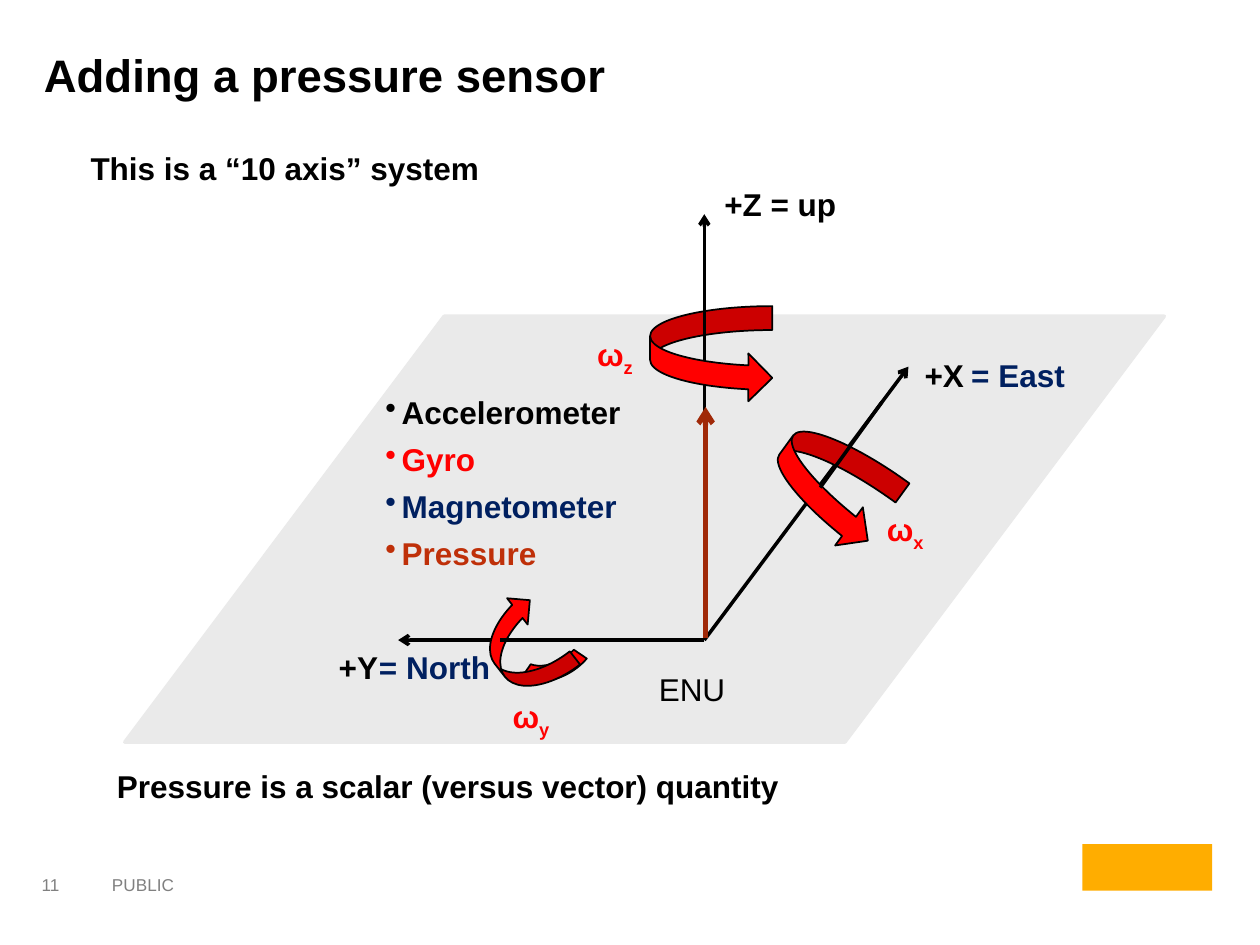
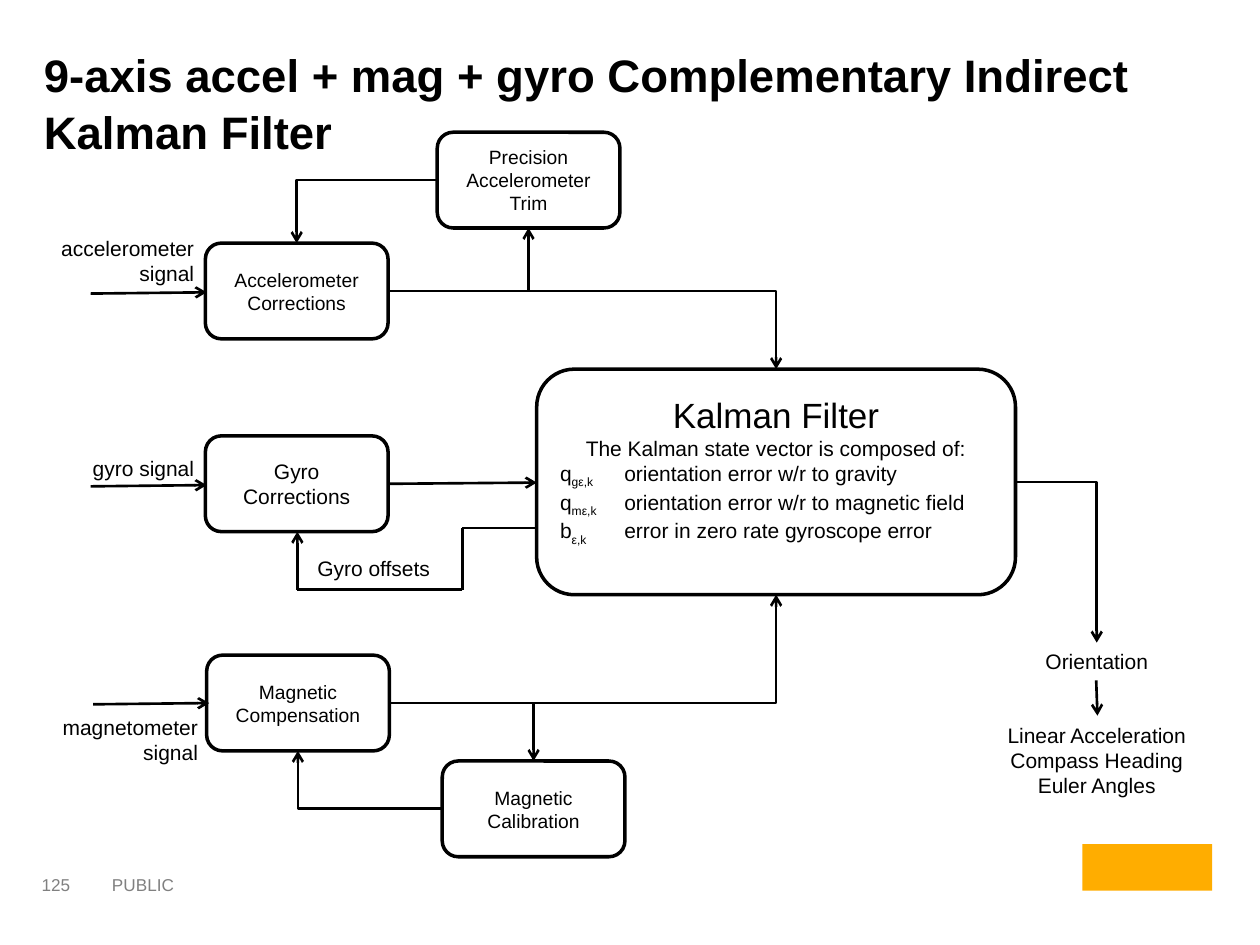
from dataclasses import dataclass
from itertools import pairwise

from lxml import etree
from pptx import Presentation
from pptx.dml.color import RGBColor
from pptx.enum.shapes import MSO_CONNECTOR, MSO_SHAPE
from pptx.enum.text import MSO_ANCHOR, PP_ALIGN
from pptx.oxml.ns import qn
from pptx.util import Inches, Pt

LEFT, CENTER, RIGHT = PP_ALIGN.LEFT, PP_ALIGN.CENTER, PP_ALIGN.RIGHT
TOP, MIDDLE = MSO_ANCHOR.TOP, MSO_ANCHOR.MIDDLE
STRAIGHT, ELBOW = MSO_CONNECTOR.STRAIGHT, MSO_CONNECTOR.ELBOW
ROUNDED, RECT = MSO_SHAPE.ROUNDED_RECTANGLE, MSO_SHAPE.RECTANGLE
PARALLELOGRAM, BLOCK_ARC = MSO_SHAPE.PARALLELOGRAM, MSO_SHAPE.BLOCK_ARC
CURVED_ARROW = MSO_SHAPE.CURVED_RIGHT_ARROW
SITE_TOP, SITE_LEFT, SITE_BOTTOM, SITE_RIGHT = range(4)


@dataclass(frozen=True)
class Theme:
    font: str = "Arial"
    ink: str = "000000"
    muted: str = "808080"
    plane: str = "EAEAEA"
    gyro: str = "FF0000"
    magnet: str = "002060"
    pressure: str = "BF3009"
    pressure_line: str = "A02908"
    mark: str = "FFAD00"
    title: float = 26
    label: float = 18
    heading: float = 20
    body: float = 12
    block: float = 11
    footer: float = 9.8


T = Theme()
prs = Presentation()
prs.slide_width, prs.slide_height = Inches(10), Inches(7.5)
U = prs.slide_width // 100  # grid unit: the slide is 100 columns by 75 rows


def put(s, box, text="", size=T.label, color=T.ink, bold=False, align=LEFT,
        anchor=TOP, shape=None, fill=None, line=None, weight=2):
    """Add a text box or preset shape; '|' switches subscript on and off."""
    frame = [round(v * U) for v in box]
    if shape is None:
        sp = s.shapes.add_textbox(*frame)
    else:
        sp = s.shapes.add_shape(shape, *frame)
        sp.shadow.inherit = False
        if fill:
            sp.fill.solid()
            sp.fill.fore_color.rgb = RGBColor.from_string(fill)
        else:
            sp.fill.background()
        if line:
            sp.line.color.rgb = RGBColor.from_string(line)
            sp.line.width = Pt(weight)
        else:
            sp.line.fill.background()
    tf = sp.text_frame
    tf.word_wrap = True
    tf.vertical_anchor = anchor
    for i, row in enumerate(text.split("\n") if text else []):
        p = tf.paragraphs[0] if i == 0 else tf.add_paragraph()
        p.alignment = align
        for n, part in enumerate(row.split("|")):
            r = p.add_run()
            r.text = part
            r.font.name, r.font.size, r.font.bold = T.font, Pt(size), bold
            r.font.color.rgb = RGBColor.from_string(color)
            if n % 2:
                r.font._element.set("baseline", "-25000")
    return sp


def link(s, start, end, color=T.ink, weight=1.5, arrow=True):
    """Join two points with a line, or two (shape, site) pairs with an elbow."""
    glued = not isinstance(start[0], (int, float))
    if glued:
        c = s.shapes.add_connector(ELBOW, 0, 0, 0, 0)
        c.begin_connect(*start)
        c.end_connect(*end)
        c._element.spPr.find(qn("a:prstGeom")).set("prst", "bentConnector2")
    else:
        c = s.shapes.add_connector(STRAIGHT, *[round(v * U) for v in (*start, *end)])
    c.line.color.rgb = RGBColor.from_string(color)
    c.line.width = Pt(weight)
    spPr = c._element.spPr
    if arrow:
        etree.SubElement(spPr.find(qn("a:ln")), qn("a:tailEnd"), type="arrow")
    etree.SubElement(spPr, qn("a:effectLst"))


# Shared frame: title, page number, classification and corner mark
slides = []
for number, title in [
    ("11", "Adding a pressure sensor"),
    ("125", "9-axis accel + mag + gyro Complementary Indirect Kalman Filter"),
]:
    s = prs.slides.add_slide(prs.slide_layouts[6])
    page = put(s, (2.7, 68.7, 4.9, 3), number, T.footer, T.muted, anchor=MIDDLE)
    tf = page.text_frame
    tf.margin_left = tf.margin_right = Inches(0.06)
    tf.margin_top = tf.margin_bottom = Inches(0.03)
    put(s, (7.9, 68.9, 38.4, 3.4), "PUBLIC", T.footer, T.muted)
    put(s, (85.9, 67, 10.3, 3.7), shape=RECT, fill=T.mark)
    heading = put(s, (2.5, 3, 95.7, 7.2), title, T.title, bold=True)
    heading.text_frame.paragraphs[0].line_spacing = 1.05
    slides.append(s)

# Slide 1: axes on the ground plane
s = slides[0]
plane = put(s, (9.9, 25.1, 82.5, 33.8), shape=PARALLELOGRAM, fill=T.plane, line=T.plane)
plane.adjustments[0] = 0.75
origin = (55.9, 50.8)
for tip in [(31.6, 50.8), (55.9, 17), (72.1, 29.1)]:
    link(s, origin, tip, weight=2)
link(s, (56, 50.6), (56, 32.3), T.pressure_line, 3)

# Rotation arrows, then the parts of the axes that pass in front of them
for kind, box, turn, flip in [
    (CURVED_ARROW, (51.6, 24.3, 9.7, 7.6), 0, False),
    (CURVED_ARROW, (61.2, 34.8, 9.7, 7.5), 36, False),
    (BLOCK_ARC, (40.4, 46.1, 6.7, 8.5), 232, True),
    (CURVED_ARROW, (38.9, 47.4, 5.3, 7.8), 322, True),
]:
    sp = put(s, box, shape=kind, fill=T.gyro, line=T.ink, weight=1)
    sp.rotation = turn
    if flip:
        sp._element.spPr.find(qn("a:xfrm")).set("flipV", "1")
    if kind == BLOCK_ARC:
        # angles are stored in 60000ths of a degree, shares in 100000ths
        for i, value in enumerate((107.48 * 0.6, 197.71 * 0.6, 0.185)):
            sp.adjustments[i] = value
for start, end in [
    ((39.7, 50.8), (50.6, 50.8)),
    ((55.9, 21), (55.9, 28.6)),
    ((65.1, 38.7), (70, 31.9)),
]:
    link(s, start, end, weight=2, arrow=False)

for x, y, text, color in [
    (25.9, 50.9, "+Y", T.ink),
    (72.4, 27.8, "+X", T.ink),
    (56.5, 14.2, "+Z = up", T.ink),
    (29.1, 50.9, "= North", T.magnet),
    (76.1, 27.8, "= East", T.magnet),
    (46.4, 26.1, "ω|z", T.gyro),
    (69.4, 40, "ω|x", T.gyro),
    (39.7, 54.8, "ω|y", T.gyro),
]:
    put(s, (x, y, 13, 4), text, color=color, bold=True)
put(s, (51.3, 52.7, 11.9, 4), "ENU")
put(s, (6.2, 11.3, 43.2, 4), "This is a “10 axis” system", bold=True)
put(s, (8.3, 60.4, 60, 4), "Pressure is a scalar (versus vector) quantity", bold=True)

for i, (sensor, color) in enumerate([
    ("Accelerometer", T.ink),
    ("Gyro", T.gyro),
    ("Magnetometer", T.magnet),
    ("Pressure", T.pressure),
]):
    sp = put(s, (29.6, 30.7 + 3.73 * i, 23, 4), sensor, color=color, bold=True)
    pPr = sp.text_frame.paragraphs[0]._p.get_or_add_pPr()
    pPr.set("marL", str(Inches(0.13)))
    pPr.set("indent", str(-Inches(0.13)))
    etree.SubElement(pPr, qn("a:buChar"), char="•")

# Slide 2: filter blocks
s = slides[1]
blocks = {}
for name, x, y, text, size in [
    ("trim", 34.7, 10.5, "Precision Accelerometer Trim", T.block),
    ("accel", 16.3, 19.3, "Accelerometer Corrections", T.block),
    ("gyro", 16.3, 34.6, "Gyro Corrections", T.body),
    ("magnet", 16.4, 52, "Magnetic Compensation", T.block),
    ("calibration", 35.1, 60.4, "Magnetic Calibration", T.block),
]:
    blocks[name] = put(s, (x, y, 14.5, 7.6), text, size, align=CENTER,
                       anchor=MIDDLE, shape=ROUNDED, line=T.ink)

kalman = put(s, (42.6, 29.3, 38, 17.9),
             "Kalman Filter\nThe Kalman state vector is composed of:\n"
             "q|gε,k|\torientation error w/r to gravity\n"
             "q|mε,k|\torientation error w/r to magnetic field\n"
             "b|ε,k|\terror in zero rate gyroscope error",
             T.body, anchor=MIDDLE, shape=ROUNDED, line=T.ink)
kalman.text_frame.margin_bottom = Inches(0.24)
name, intro, *states = kalman.text_frame.paragraphs
name.runs[0].font.size = Pt(T.heading)
name.alignment = intro.alignment = CENTER
for p in states:
    tabs = etree.SubElement(p._p.get_or_add_pPr(), qn("a:tabLst"))
    etree.SubElement(tabs, qn("a:tab"), pos=str(Inches(0.51)), algn="l")

outputs = put(s, (78.9, 51, 16.3, 13.1),
              "Orientation\nLinear Acceleration\nCompass Heading\nEuler Angles",
              T.body, align=CENTER)
outputs.text_frame.paragraphs[1].space_before = Pt(27.6)

for right, y, text in [
    (16.4, 18.2, "accelerometer\nsignal"),
    (16.4, 35.7, "gyro signal"),
    (16.7, 56.2, "magnetometer\nsignal"),
]:
    put(s, (right - 14, y, 14, 5), text, T.body, align=RIGHT)
put(s, (24.2, 43.6, 14.1, 2.9), "Gyro offsets", T.body)

# Signal flow
for x, y in [(7.2, 23.3), (7.2, 38.6), (7.4, 55.9)]:
    link(s, (x, y), (x + 9.2, y - 0.1))
link(s, (30.8, 38.4), (42.6, 38.3))
link(s, (87, 54), (87.1, 56.8))
accel, magnet = blocks["accel"], blocks["magnet"]
trim, calibration = blocks["trim"], blocks["calibration"]
for start, end in [
    ((accel, SITE_RIGHT), (kalman, SITE_TOP)),
    ((accel, SITE_RIGHT), (trim, SITE_BOTTOM)),
    ((trim, SITE_LEFT), (accel, SITE_TOP)),
    ((magnet, SITE_RIGHT), (kalman, SITE_BOTTOM)),
    ((magnet, SITE_RIGHT), (calibration, SITE_TOP)),
    ((calibration, SITE_LEFT), (magnet, SITE_BOTTOM)),
    ((kalman, SITE_RIGHT), (outputs, SITE_TOP)),
]:
    link(s, start, end)

# Gyro offsets fed back from the filter
feedback = [(42.5, 41.9), (36.7, 41.9), (36.7, 46.8), (23.6, 46.8), (23.6, 42.2)]
for start, end in pairwise(feedback):
    link(s, start, end, arrow=end == feedback[-1])

prs.save("out.pptx")
